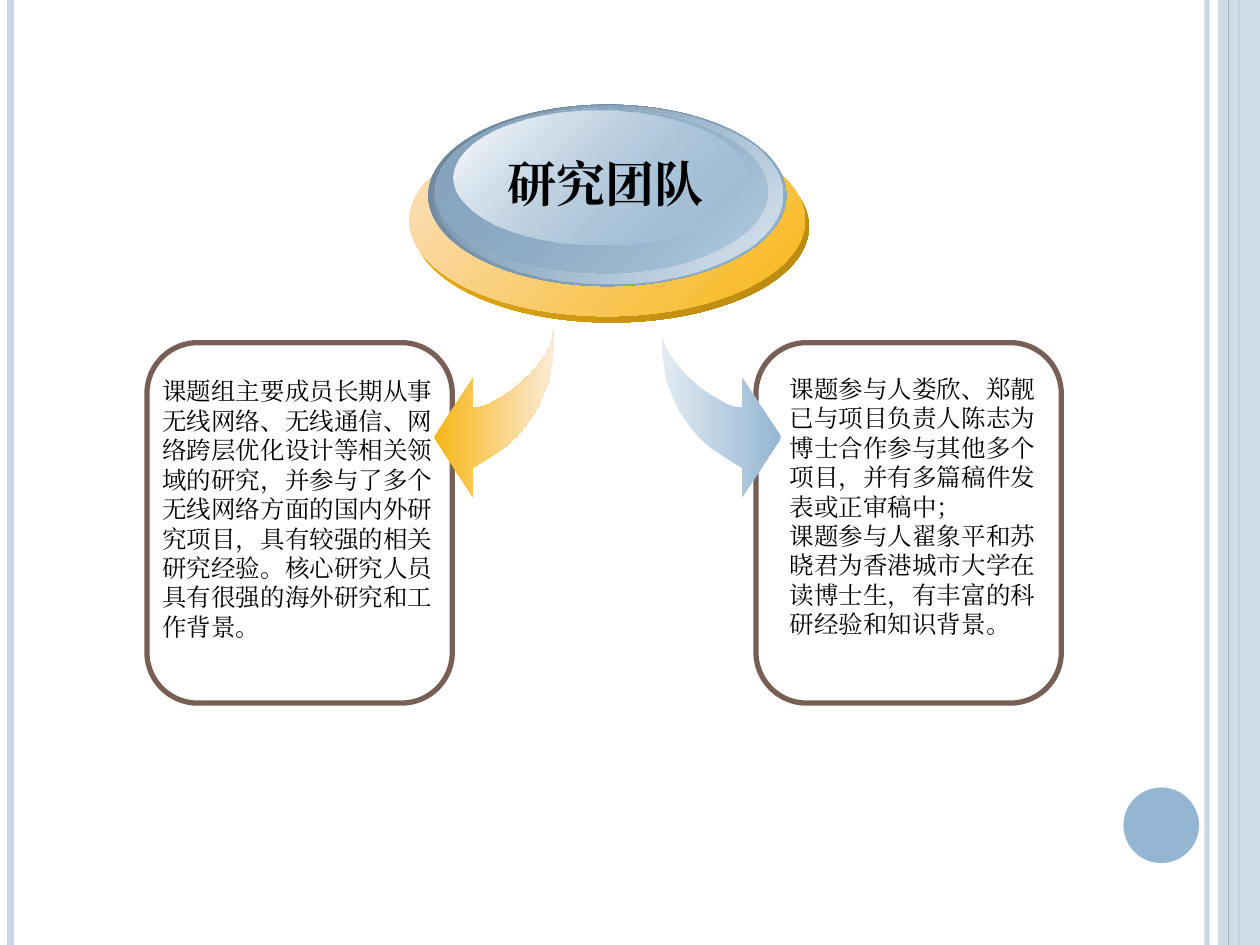
from pptx import Presentation
from pptx.dml.color import RGBColor
from pptx.enum.shapes import MSO_CONNECTOR, MSO_SHAPE
from pptx.enum.text import MSO_AUTO_SIZE, PP_ALIGN
from pptx.oxml.ns import qn
from pptx.util import Pt
from lxml import etree

LINE = MSO_CONNECTOR.STRAIGHT
RECT, OVAL, ROUND = MSO_SHAPE.RECTANGLE, MSO_SHAPE.OVAL, MSO_SHAPE.ROUNDED_RECTANGLE
LEFT, CENTER = PP_ALIGN.LEFT, PP_ALIGN.CENTER
FIT = MSO_AUTO_SIZE.SHAPE_TO_FIT_TEXT

BLACK = RGBColor(0, 0, 0)
WHITE = RGBColor(255, 255, 255)
BROWN = RGBColor(0x77, 0x5F, 0x55)
BLUE = RGBColor(0x94, 0xB6, 0xD2)
PALE_BLUE = RGBColor(0xC8, 0xD7, 0xE5)
ICE = RGBColor(0xE4, 0xEB, 0xF2)
RIM_LIGHT = RGBColor(0xE1, 0xE9, 0xF1)
SLATE = RGBColor(0x6A, 0x82, 0x96)
STEEL = RGBColor(0x86, 0xA4, 0xBE)
GOLD = RGBColor(0xF7, 0xB6, 0x15)
DARK_GOLD = RGBColor(0xB5, 0x85, 0x0F)
CREAM = RGBColor(0xFC, 0xEB, 0xD8)
PEACH = RGBColor(0xFB, 0xE2, 0xC6)
FONT = "Cambria"

W, H = 720, 540
ARROW = [(0, 0), (0, 10.8), (1.4, 20.9), (2.9, 30.2), (6.5, 38.9), (10.1, 46.8),
         (15.1, 54), (20.9, 61.2), (28.1, 67.7), (36.7, 73.4), (46.1, 79.2),
         (46.1, 96), (68.4, 61.9), (46.1, 28.1), (46.1, 44.6), (41.8, 44.6),
         (37.4, 43.2), (32.4, 40.3), (27.4, 37.4), (22.3, 33.8), (17.3, 29.5),
         (13, 25.2), (8.6, 20.2), (5, 15.1), (2.2, 10.1), (0.7, 5)]
RINGS = [(2.2, 15.1, 226, 109.4, GOLD, DARK_GOLD, 100, 100),
         (0, 11.5, 226, 109.4, PEACH, GOLD, 100, 100),
         (10.8, 0, 204.5, 103.7, SLATE, BLUE, 100, 100),
         (13.7, 0.7, 199.4, 101.5, BLUE, RIM_LIGHT, 0, 100),
         (15.1, 2.2, 189.4, 94.3, STEEL, BLUE, 100, 48),
         (25.2, 3.6, 167, 76.3, WHITE, BLUE, 100, 38)]
LEFT_TEXT = ["课题组主要成员长期从事无线网络、无线通信、网络跨层优化设计等相关领域的研究，"
             "并参与了多个无线网络方面的国内外研究项目，具有较强的相关研究经验。"
             "核心研究人员具有很强的海外研究和工作背景。"]
RIGHT_TEXT = ["课题参与人娄欣、郑靓已与项目负责人陈志为博士合作参与其他多个项目，"
              "并有多篇稿件发表或正审稿中；",
              "课题参与人翟象平和苏晓君为香港城市大学在读博士生，有丰富的科研经验和知识背景。"]


def set_alpha(sp, *alphas):
    for clr, alpha in zip(sp._element.iter(qn("a:srgbClr")), alphas):
        if alpha < 100:
            etree.SubElement(clr, qn("a:alpha")).set("val", str(alpha * 1000))


def add_shape(s, kind, x, y, w, h, fill=None, line=None):
    sp = s.shapes.add_shape(kind, Pt(x), Pt(y), Pt(w), Pt(h))
    sp.shadow.inherit = False
    if fill is None:
        sp.fill.background()
    else:
        sp.fill.solid()
        sp.fill.fore_color.rgb = fill
    if line is None:
        sp.line.fill.background()
    else:
        sp.line.color.rgb = line
        sp.line.width = Pt(3)
    return sp


def set_gradient(sp, start, end, angle=0):
    sp.fill.gradient()
    sp.fill.gradient_angle = angle
    for stop, color, pos in zip(sp.fill.gradient_stops, (start, end), (0, 1)):
        stop.color.rgb = color
        stop.position = pos


def add_text(s, x, y, w, h, paragraphs, size=14, bold=False, align=LEFT, wrap=True):
    tf = s.shapes.add_textbox(Pt(x), Pt(y), Pt(w), Pt(h)).text_frame
    tf.word_wrap = wrap
    tf.auto_size = FIT
    for i, text in enumerate(paragraphs):
        p = tf.paragraphs[0] if i == 0 else tf.add_paragraph()
        p.alignment = align
        r = p.add_run()
        r.text = text
        r.font.name = FONT
        r.font.size = Pt(size)
        r.font.bold = bold
        r.font.color.rgb = BLACK
        etree.SubElement(r.font._element, qn("a:ea")).set("typeface", FONT)


def add_rule(s, x, color, width, alpha=100):
    cn = s.shapes.add_connector(LINE, Pt(x), Pt(0), Pt(x), Pt(H))
    cn.line.color.rgb = color
    cn.line.width = Pt(width)
    etree.SubElement(cn._element.spPr, qn("a:effectLst"))
    set_alpha(cn, alpha)


def add_margins(s):
    add_rule(s, 689.75, PALE_BLUE, 3, 93)
    add_rule(s, 6, PALE_BLUE, 4.5)
    add_rule(s, 708, BLUE, 1.5)
    band = add_shape(s, RECT, 696, 0, W - 696, H, PALE_BLUE)
    set_alpha(band, 87)
    add_rule(s, 702, BLUE, 0.75)
    add_shape(s, OVAL, 642, 450, 43.2, 43.2, BLUE)


def add_panel(s, x, y, text_dx, text_dy, text_w, text_h, paragraphs):
    add_shape(s, ROUND, x, y, 174.5, 206, line=BROWN)
    add_text(s, x + text_dx, y + text_dy, text_w, text_h, paragraphs)


def add_arrow(s, x, y, start, end, mirrored=False):
    w = 68.4
    pts = [(Pt(x + (w - px if mirrored else px)), Pt(y + py)) for px, py in ARROW]
    fb = s.shapes.build_freeform(*pts[0])
    fb.add_line_segments(pts[1:], close=True)
    sp = fb.convert_to_shape()
    sp.shadow.inherit = False
    sp.line.fill.background()
    set_gradient(sp, start, end)


def add_badge(s, x, y, title):
    for dx, dy, w, h, start, end, *alphas in RINGS:
        sp = add_shape(s, OVAL, x + dx, y + dy, w, h)
        set_gradient(sp, start, end, 315)
        set_alpha(sp, *alphas)
    add_text(s, x + 48.2, y + 24.5, 128, 41, [title], 28, True, CENTER, False)


def main():
    prs = Presentation()
    prs.slide_width, prs.slide_height = Pt(W), Pt(H)
    s = prs.slides.add_slide(prs.slide_layouts[6])
    add_margins(s)
    add_panel(s, 432, 195.8, 12.2, 14.4, 168, 177, RIGHT_TEXT)
    add_panel(s, 84, 195.8, 1.7, 15.8, 173, 160, LEFT_TEXT)
    add_arrow(s, 248, 188, GOLD, CREAM, mirrored=True)
    add_arrow(s, 378, 188, ICE, BLUE)
    add_badge(s, 234, 59.8, "研究团队")
    prs.save("out.pptx")


main()
